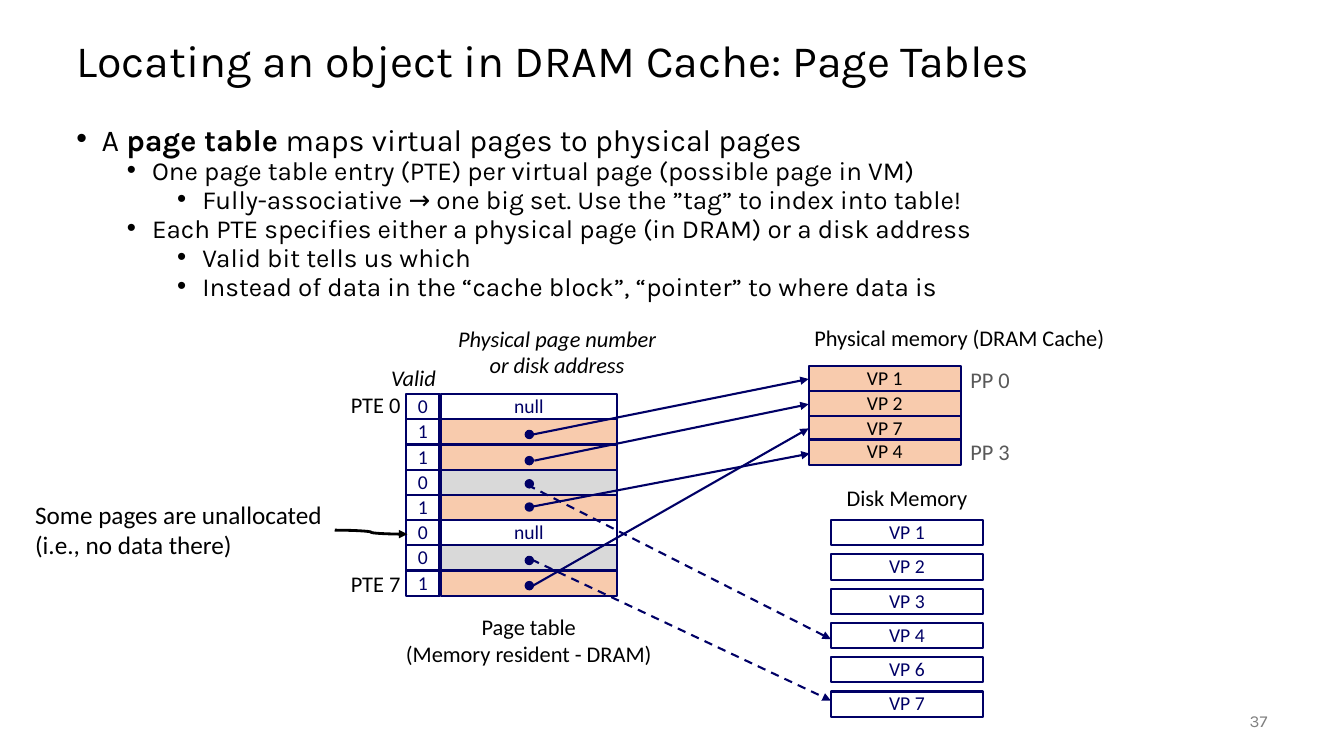
from copy import deepcopy

from lxml import etree
from pptx import Presentation
from pptx.dml.color import RGBColor
from pptx.enum import dml, shapes, text as text_enum
from pptx.oxml import ns
from pptx.util import Inches, Pt

COLORS = {
    "black": "000000",
    "navy": "000066",
    "white": "FFFFFF",
    "orange": "F8CBAD",
    "gray": "D9D9D9",
    "label": "595959",
    "number": "808080",
}
ALIGN = text_enum.PP_ALIGN
ANCHOR = text_enum.MSO_ANCHOR


def add_xml(parent, tag, **attributes):
    return etree.SubElement(parent, ns.qn(tag), attributes)


def write_text(paragraph, content, font="Calibri", size=16, color="black",
               italic=False, align=ALIGN.LEFT, spacing=0.98, before=0):
    """Fill a paragraph; *stars* mark bold words and a newline breaks the line."""
    paragraph.alignment = align
    paragraph.line_spacing = spacing
    paragraph.space_before = Pt(before)
    for line_index, line in enumerate(content.split("\n")):
        if line_index:
            paragraph.add_line_break()
            paragraph._p[-1].append(deepcopy(run._r.rPr))
        for piece_index, piece in enumerate(line.split("*")):
            run = paragraph.add_run()
            run.text = piece
            run.font.name = font
            run.font.size = Pt(size)
            run.font.bold = piece_index % 2 == 1
            run.font.italic = italic
            run.font.color.rgb = RGBColor.from_string(COLORS[color])


class SlideBuilder:
    heading_font = "Karla"
    line_width = 1.5

    def __init__(self, slide):
        self.slide = slide

    def text_box(self, left, top, width, height, content, anchor=ANCHOR.TOP,
                 wrap=True, grow=True, **text_format):
        box = self.slide.shapes.add_textbox(
            Inches(left), Inches(top), Inches(width), Inches(height))
        frame = box.text_frame
        frame.word_wrap = wrap
        frame.vertical_anchor = anchor
        if grow:
            frame.auto_size = text_enum.MSO_AUTO_SIZE.SHAPE_TO_FIT_TEXT
        write_text(frame.paragraphs[0], content, **text_format)

    def bullets(self, left, top, width, height, items):
        box = self.slide.shapes.add_textbox(
            Inches(left), Inches(top), Inches(width), Inches(height))
        frame = box.text_frame
        frame.word_wrap = True
        for index, (level, content) in enumerate(items):
            paragraph = frame.add_paragraph() if index else frame.paragraphs[0]
            paragraph.level = level
            write_text(paragraph, content, font=self.heading_font,
                       size=18.6 if level else 21.7, spacing=0.7,
                       before=5 if index else 0)
            properties = paragraph._p.get_or_add_pPr()
            properties.set("marL", str(Inches(0.25 + 0.5 * level)))
            properties.set("indent", str(Inches(-0.25)))
            add_xml(properties, "a:buFont", typeface="Arial")
            add_xml(properties, "a:buChar", char="•")

    def shape(self, kind, left, top, width, height, fill=None, line_width=line_width):
        shape = self.slide.shapes.add_shape(
            kind, Inches(left), Inches(top), Inches(width), Inches(height))
        shape.shadow.inherit = False
        if fill:
            shape.fill.solid()
            shape.fill.fore_color.rgb = RGBColor.from_string(COLORS[fill])
        else:
            shape.fill.background()
        shape.line.color.rgb = RGBColor.from_string(COLORS["navy"])
        shape.line.width = Pt(line_width)
        return shape

    def cell(self, left, top, width, fill=None, content="", color="navy"):
        cell = self.shape(shapes.MSO_SHAPE.RECTANGLE, left, top, width, 0.25, fill)
        if content:
            frame = cell.text_frame
            frame.word_wrap = False
            frame.vertical_anchor = ANCHOR.MIDDLE
            write_text(frame.paragraphs[0], content, size=14, color=color,
                       align=ALIGN.CENTER)

    def dot(self, left, top):
        self.shape(shapes.MSO_SHAPE.OVAL, left, top, 0.08, 0.08, "navy", 1)

    def arrow(self, start, end, color="navy", width=line_width, dashed=False,
              kind=shapes.MSO_CONNECTOR.STRAIGHT):
        arrow = self.slide.shapes.add_connector(
            kind, *(Inches(value) for value in (*start, *end)))
        arrow.line.color.rgb = RGBColor.from_string(COLORS[color])
        arrow.line.width = Pt(width)
        if dashed:
            arrow.line.dash_style = dml.MSO_LINE.DASH
        add_xml(arrow.line._get_or_add_ln(), "a:tailEnd", type="triangle")
        add_xml(arrow._element.spPr, "a:effectLst")


BULLETS = [
    (0, "A *page table *maps virtual pages to physical pages"),
    (1, "One page table entry (PTE) per virtual page (possible page in VM)"),
    (2, "Fully-associative → one big set. Use the ”tag” to index into table!"),
    (1, "Each PTE specifies either a physical page (in DRAM) or a disk address"),
    (2, "Valid bit tells us which"),
    (2, "Instead of data in the “cache block”, “pointer” to where data is"),
]
PAGE_TABLE = [
    ("0", "white", "null"), ("1", "orange", ""), ("1", "orange", ""),
    ("0", "gray", ""), ("1", "orange", ""), ("0", "white", "null"),
    ("0", "gray", ""), ("1", "orange", ""),
]
DRAM_PAGES = [("VP 1", 3.63), ("VP 2", 3.88), ("VP 7", 4.13), ("VP 4", 4.36)]
DISK_PAGES = ["VP 1", "VP 2", "VP 3", "VP 4", "VP 6", "VP 7"]
# dot top, arrow start, arrow end, whether the page is on disk
POINTERS = [
    (4.27, (5.24, 4.32), (8.02, 3.76), False),
    (4.53, (5.3, 4.57), (8.02, 4.01), False),
    (4.76, (5.23, 4.81), (8.24, 6.34), True),
    (4.99, (5.26, 5.03), (8.03, 4.5), False),
    (5.52, (5.27, 5.55), (8.24, 6.95), True),
    (5.77, (5.27, 5.82), (8.02, 4.25), False),
]


def main():
    presentation = Presentation()
    presentation.slide_width = Inches(13.33)
    presentation.slide_height = Inches(7.5)
    builder = SlideBuilder(presentation.slides.add_slide(presentation.slide_layouts[6]))

    builder.text_box(0.66, 0.25, 12, 0.75, "Locating an object in DRAM Cache: Page Tables",
                     anchor=ANCHOR.MIDDLE, grow=False, font=builder.heading_font,
                     size=32, spacing=0.9)
    builder.bullets(0.66, 1.25, 12, 1.84, BULLETS)

    for row, (valid, fill, content) in enumerate(PAGE_TABLE):
        top = 3.91 + 0.25 * row
        builder.cell(4.37, top, 1.75, fill, content)
        builder.cell(4.03, top, 0.33, content=valid)
    for name, top in DRAM_PAGES:
        builder.cell(8.02, top, 1.51, "orange", name, "black")
    for row, name in enumerate(DISK_PAGES):
        builder.cell(8.24, 5.16 + 0.34 * row, 1.51, "white", name)
    for dot_top, start, end, on_disk in POINTERS:
        builder.dot(5.21, dot_top)
        builder.arrow(start, end, dashed=on_disk)

    builder.text_box(3.78, 3.58, 0.75, 0.37, "Valid", italic=True)
    builder.text_box(4.44, 3.18, 2.17, 0.63, "Physical page number\nor disk address",
                     anchor=ANCHOR.MIDDLE, italic=True, align=ALIGN.CENTER)
    builder.text_box(3.88, 6.05, 2.73, 0.63, "Page table\n(Memory resident - DRAM)",
                     wrap=False, align=ALIGN.CENTER)
    builder.text_box(7.92, 3.18, 3.19, 0.37, "Physical memory (DRAM Cache)",
                     align=ALIGN.CENTER)
    builder.text_box(8.29, 4.77, 1.41, 0.37, "Disk Memory", wrap=False,
                     align=ALIGN.CENTER)
    for name, top in (("PTE 0", 3.84), ("PTE 7", 5.61)):
        builder.text_box(3.37, top, 0.7, 0.37, name, anchor=ANCHOR.MIDDLE,
                         wrap=False, align=ALIGN.RIGHT)
    for name, top in (("PP 0", 3.59), ("PP 3", 4.31)):
        builder.text_box(9.52, top, 0.6, 0.37, name, anchor=ANCHOR.MIDDLE,
                         wrap=False, align=ALIGN.CENTER, color="label")

    builder.text_box(0.25, 4.9, 3.07, 0.71,
                     "Some pages are unallocated (i.e., no data there)",
                     size=18, spacing=1.0)
    builder.arrow((3.32, 5.26), (4.04, 5.3), color="black", width=2,
                  kind=shapes.MSO_CONNECTOR.CURVE)
    builder.text_box(11.67, 6.95, 1, 0.4, "37", anchor=ANCHOR.MIDDLE, grow=False,
                     font=builder.heading_font, size=12, color="number",
                     align=ALIGN.RIGHT, spacing=1.0)
    presentation.save("out.pptx")


if __name__ == "__main__":
    main()
